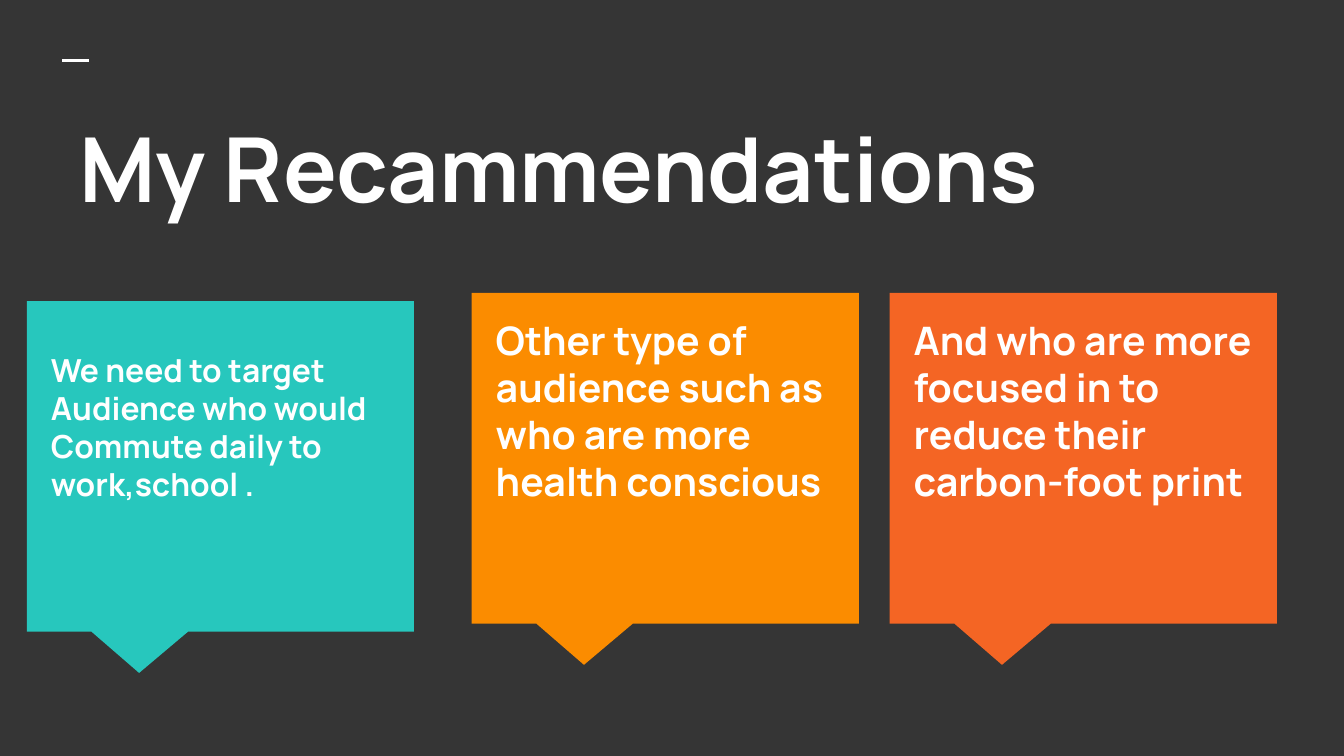
from dataclasses import dataclass

from lxml import etree
from pptx import Presentation
from pptx.dml.color import RGBColor
from pptx.enum import shapes, text
from pptx.oxml.ns import qn
from pptx.util import Pt

FONT = "Manrope"
DARK = RGBColor(0x35, 0x35, 0x35)
WHITE = RGBColor(0xFF, 0xFF, 0xFF)
TEAL = RGBColor(0x27, 0xC7, 0xBD)
AMBER = RGBColor(0xFB, 0x8C, 0x00)
ORANGE = RGBColor(0xF4, 0x65, 0x24)

CALLOUT_W, CALLOUT_H = 207.36, 177.12
TEXT_W, TEXT_H = 195.12, 157.68
TEXT_DX = 5.76
INSET = 7.2


@dataclass
class Callout:
    left: float
    top: float
    fill: RGBColor
    text: str
    size: float
    text_dy: float
    space_after: float


CALLOUTS = [
    Callout(14.4, 161.28, TEAL,
            "We need to target Audience who would Commute daily to work,school .",
            17, 19.44, 0),
    Callout(252.72, 156.96, AMBER,
            "Other type of audience such as who are more health conscious",
            21, 5.04, 12),
    Callout(476.64, 156.96, ORANGE,
            "And who are more focused in to reduce their carbon-foot print",
            21, 5.04, 12),
]


def write(sp, words: str, size: float, space_after: float = 0) -> None:
    tf = sp.text_frame
    tf.text = words
    tf.word_wrap = True
    tf.auto_size = text.MSO_AUTO_SIZE.NONE
    tf.vertical_anchor = text.MSO_ANCHOR.TOP
    tf.margin_left = tf.margin_right = tf.margin_top = tf.margin_bottom = Pt(INSET)
    p = tf.paragraphs[0]
    p.alignment = text.PP_ALIGN.LEFT
    p.line_spacing = 1.0
    p.space_before = Pt(0)
    p.space_after = Pt(space_after)
    font = p.runs[0].font
    font.name = FONT
    font.size = Pt(size)
    font.bold = True
    font.color.rgb = WHITE


def add_title(s, words: str) -> None:
    sp = s.shapes.title
    sp.left, sp.top, sp.width, sp.height = Pt(35.28), Pt(53.28), Pt(678.96), Pt(80.64)
    write(sp, words, 48)


def add_dash(s) -> None:
    line = s.shapes.add_connector(shapes.MSO_CONNECTOR.STRAIGHT,
                                  Pt(33.5), Pt(32.5), Pt(47.9), Pt(32.5))
    line.line.color.rgb = WHITE
    line.line.width = Pt(1.5)
    etree.SubElement(line._element.spPr, qn("a:effectLst"))


def add_callout(s, c: Callout) -> None:
    sp = s.shapes.add_shape(shapes.MSO_SHAPE.RECTANGULAR_CALLOUT,
                            Pt(c.left), Pt(c.top), Pt(CALLOUT_W), Pt(CALLOUT_H))
    sp.adjustments[0], sp.adjustments[1] = -0.21, 0.625
    sp.shadow.inherit = False
    sp.fill.solid()
    sp.fill.fore_color.rgb = c.fill
    sp.line.fill.background()
    box = s.shapes.add_textbox(Pt(c.left + TEXT_DX), Pt(c.top + c.text_dy),
                               Pt(TEXT_W), Pt(TEXT_H))
    write(box, c.text, c.size, c.space_after)


def main() -> None:
    prs = Presentation()
    prs.slide_width, prs.slide_height = Pt(720), Pt(405)
    s = prs.slides.add_slide(prs.slide_layouts[5])
    s.background.fill.solid()
    s.background.fill.fore_color.rgb = DARK
    add_dash(s)
    add_title(s, "My Recammendations")
    for c in CALLOUTS:
        add_callout(s, c)
    prs.save("out.pptx")


if __name__ == "__main__":
    main()
